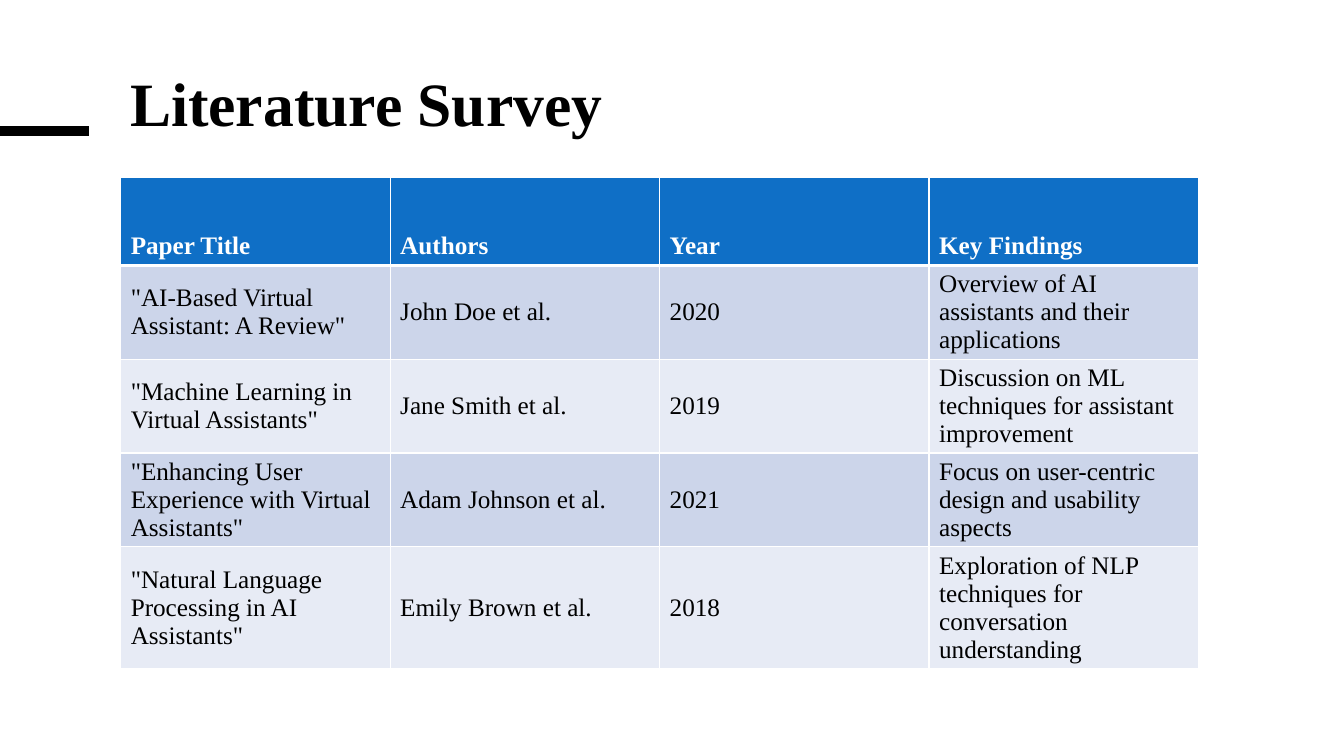
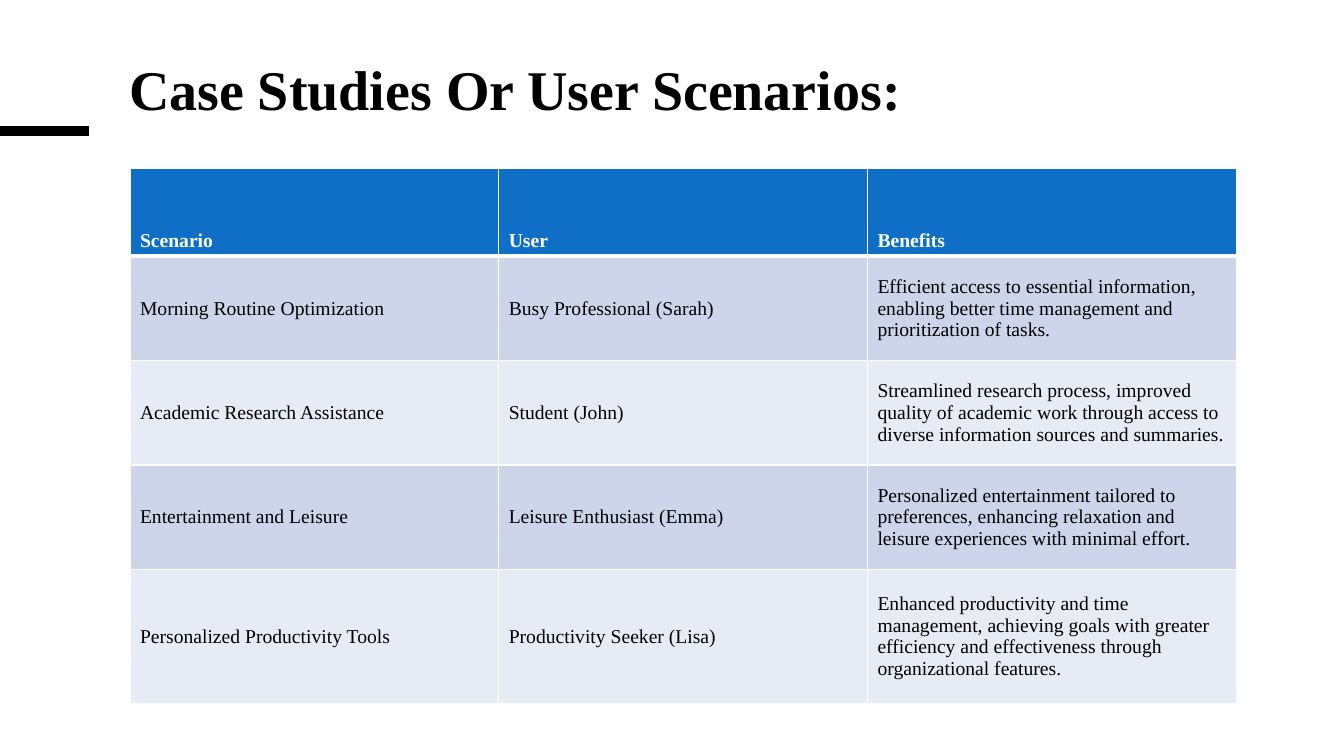
from dataclasses import dataclass

import lxml.etree
import pptx
import pptx.dml.color
import pptx.enum.shapes
import pptx.enum.text
import pptx.oxml.ns
import pptx.presentation
import pptx.slide
import pptx.table
import pptx.text.text
import pptx.util

Pt = pptx.util.Pt
Anchor = pptx.enum.text.MSO_ANCHOR
qn = pptx.oxml.ns.qn

COLORS = {
    "ink": "000000",
    "paper": "FFFFFF",
    "header": "0F6FC6",
    "odd_row": "CCD5EA",
    "even_row": "E7EBF5",
}
FONT = "Times New Roman"
RULE_Y = 93.6
RULE_LENGTH = 63.4
RULE_WEIGHT = 6.75
GRID_WEIGHT = 1
HEADER_RULE_WEIGHT = 3


@dataclass(frozen=True)
class Box:
    left: float
    top: float
    width: float
    height: float


@dataclass(frozen=True)
class Heading:
    text: str
    box: Box
    size: float
    anchor: Anchor


@dataclass(frozen=True)
class Grid:
    left: float
    top: float
    column_width: float
    row_heights: tuple[float, ...]
    size: float
    rows: tuple[tuple[str, ...], ...]


@dataclass(frozen=True)
class Page:
    heading: Heading
    grid: Grid


PAGES = (
    Page(
        Heading("Literature Survey", Box(85.7, 50.4, 386.6, 52.6), 44, Anchor.BOTTOM),
        Grid(
            86.2, 127, 192.5, (62.6, 67, 67, 67, 87), 18,
            (
                ("Paper Title", "Authors", "Year", "Key Findings"),
                ('"AI-Based Virtual Assistant: A Review"', "John Doe et al.", "2020",
                 "Overview of AI assistants and their applications"),
                ('"Machine Learning in Virtual Assistants"', "Jane Smith et al.", "2019",
                 "Discussion on ML techniques for assistant improvement"),
                ('"Enhancing User Experience with Virtual Assistants"',
                 "Adam Johnson et al.", "2021",
                 "Focus on user-centric design and usability aspects"),
                ('"Natural Language Processing in AI Assistants"',
                 "Emily Brown et al.", "2018",
                 "Exploration of NLP techniques for conversation understanding"),
            ),
        ),
    ),
    Page(
        Heading("Case Studies Or User Scenarios:", Box(85, 37.4, 589, 58.3), 40,
                Anchor.MIDDLE),
        Grid(
            92.8, 120.5, 263.4, (62.6, 74.5, 74.5, 74.5, 96), 14,
            (
                ("Scenario", "User", "Benefits"),
                ("Morning Routine Optimization", "Busy Professional (Sarah)",
                 "Efficient access to essential information, enabling better time "
                 "management and prioritization of tasks."),
                ("Academic Research Assistance", "Student (John)",
                 "Streamlined research process, improved quality of academic work "
                 "through access to diverse information sources and summaries."),
                ("Entertainment and Leisure", "Leisure Enthusiast (Emma)",
                 "Personalized entertainment tailored to preferences, enhancing "
                 "relaxation and leisure experiences with minimal effort."),
                ("Personalized Productivity Tools", "Productivity Seeker (Lisa)",
                 "Enhanced productivity and time management, achieving goals with "
                 "greater efficiency and effectiveness through organizational features."),
            ),
        ),
    ),
)


def rgb(name: str) -> pptx.dml.color.RGBColor:
    return pptx.dml.color.RGBColor.from_string(COLORS[name])


def add_run(paragraph: pptx.text.text._Paragraph, text: str, size: float,
            color: str, bold: bool) -> None:
    run = paragraph.add_run()
    run.text = text
    run.font.name = FONT
    run.font.size = Pt(size)
    run.font.bold = bold
    run.font.color.rgb = rgb(color)


def draw_accent_rule(slide: pptx.slide.Slide) -> None:
    rule = slide.shapes.add_connector(
        pptx.enum.shapes.MSO_CONNECTOR.STRAIGHT,
        Pt(0), Pt(RULE_Y), Pt(RULE_LENGTH), Pt(RULE_Y),
    )
    rule.line.color.rgb = rgb("ink")
    rule.line.width = Pt(RULE_WEIGHT)
    properties = rule.element.find(qn("p:spPr"))
    lxml.etree.SubElement(properties, qn("a:effectLst"))


def draw_heading(slide: pptx.slide.Slide, heading: Heading) -> None:
    title = slide.shapes.title
    box = heading.box
    title.left, title.top = Pt(box.left), Pt(box.top)
    title.width, title.height = Pt(box.width), Pt(box.height)
    frame = title.text_frame
    frame.word_wrap = True
    frame.auto_size = pptx.enum.text.MSO_AUTO_SIZE.NONE
    frame.vertical_anchor = heading.anchor
    paragraph = frame.paragraphs[0]
    paragraph.alignment = pptx.enum.text.PP_ALIGN.LEFT
    paragraph.line_spacing = 0.85
    add_run(paragraph, heading.text, heading.size, "ink", True)


def set_borders(cell: pptx.table._Cell, top: float, bottom: float) -> None:
    properties = cell._tc.get_or_add_tcPr()
    weights = {"lnL": GRID_WEIGHT, "lnR": GRID_WEIGHT, "lnT": top, "lnB": bottom}
    for side, weight in weights.items():
        border = lxml.etree.SubElement(properties, qn(f"a:{side}"), w=str(Pt(weight)))
        fill = lxml.etree.SubElement(border, qn("a:solidFill"))
        lxml.etree.SubElement(fill, qn("a:srgbClr"), val=COLORS["paper"])


def draw_grid(slide: pptx.slide.Slide, grid: Grid) -> None:
    column_count = len(grid.rows[0])
    table = slide.shapes.add_table(
        len(grid.rows), column_count, Pt(grid.left), Pt(grid.top),
        Pt(grid.column_width * column_count), Pt(sum(grid.row_heights)),
    ).table
    table.horz_banding = False
    for column in table.columns:
        column.width = Pt(grid.column_width)
    for index, (height, entries) in enumerate(zip(grid.row_heights, grid.rows)):
        table.rows[index].height = Pt(height)
        is_header = index == 0
        band = "header" if is_header else "odd_row" if index % 2 else "even_row"
        top = HEADER_RULE_WEIGHT if index == 1 else GRID_WEIGHT
        bottom = HEADER_RULE_WEIGHT if is_header else GRID_WEIGHT
        for column_index, entry in enumerate(entries):
            cell = table.cell(index, column_index)
            set_borders(cell, top, bottom)
            cell.fill.solid()
            cell.fill.fore_color.rgb = rgb(band)
            cell.vertical_anchor = Anchor.BOTTOM if is_header else Anchor.MIDDLE
            add_run(cell.text_frame.paragraphs[0], entry, grid.size,
                    "paper" if is_header else "ink", is_header)


def draw_page(deck: pptx.presentation.Presentation, page: Page) -> None:
    slide = deck.slides.add_slide(deck.slide_layouts.get_by_name("Title Only"))
    slide.background.fill.solid()
    slide.background.fill.fore_color.rgb = rgb("paper")
    draw_accent_rule(slide)
    draw_heading(slide, page.heading)
    draw_grid(slide, page.grid)


def main() -> None:
    deck = pptx.Presentation()
    deck.slide_width, deck.slide_height = Pt(960), Pt(540)
    for page in PAGES:
        draw_page(deck, page)
    deck.save("out.pptx")


if __name__ == "__main__":
    main()
